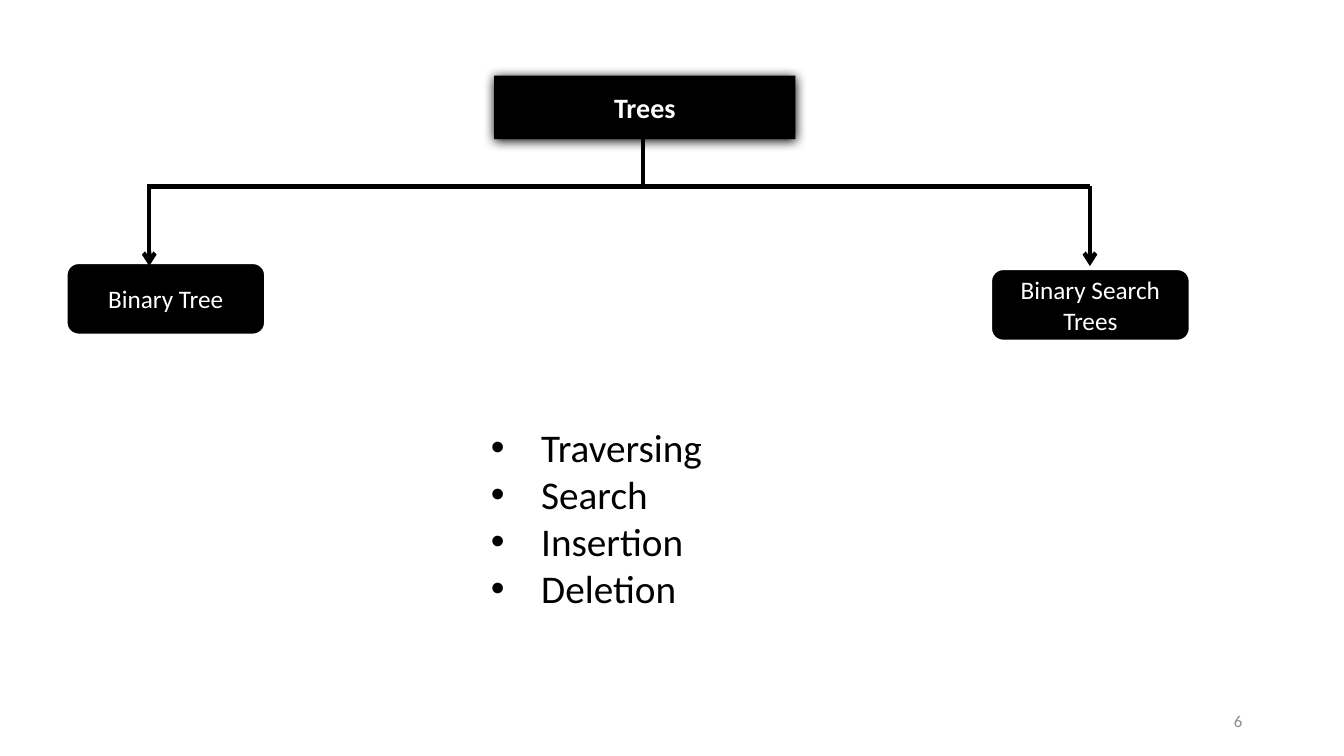
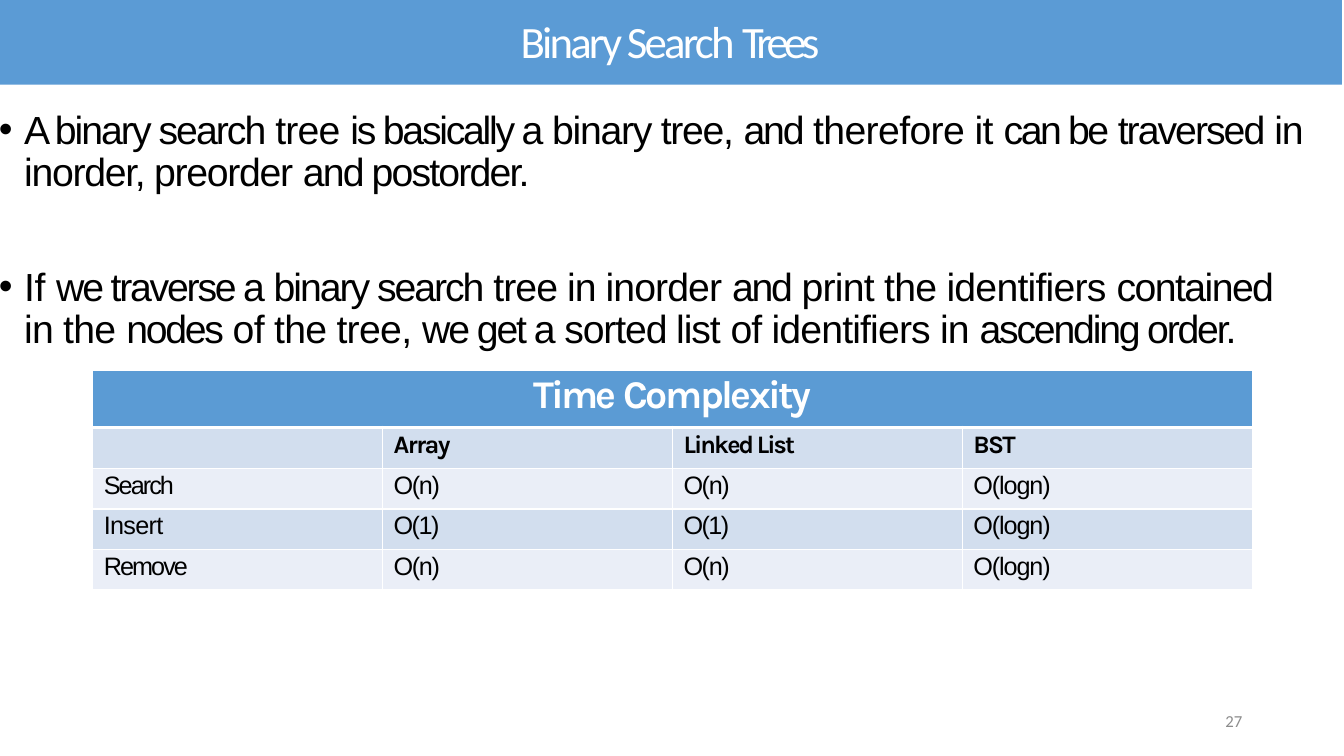
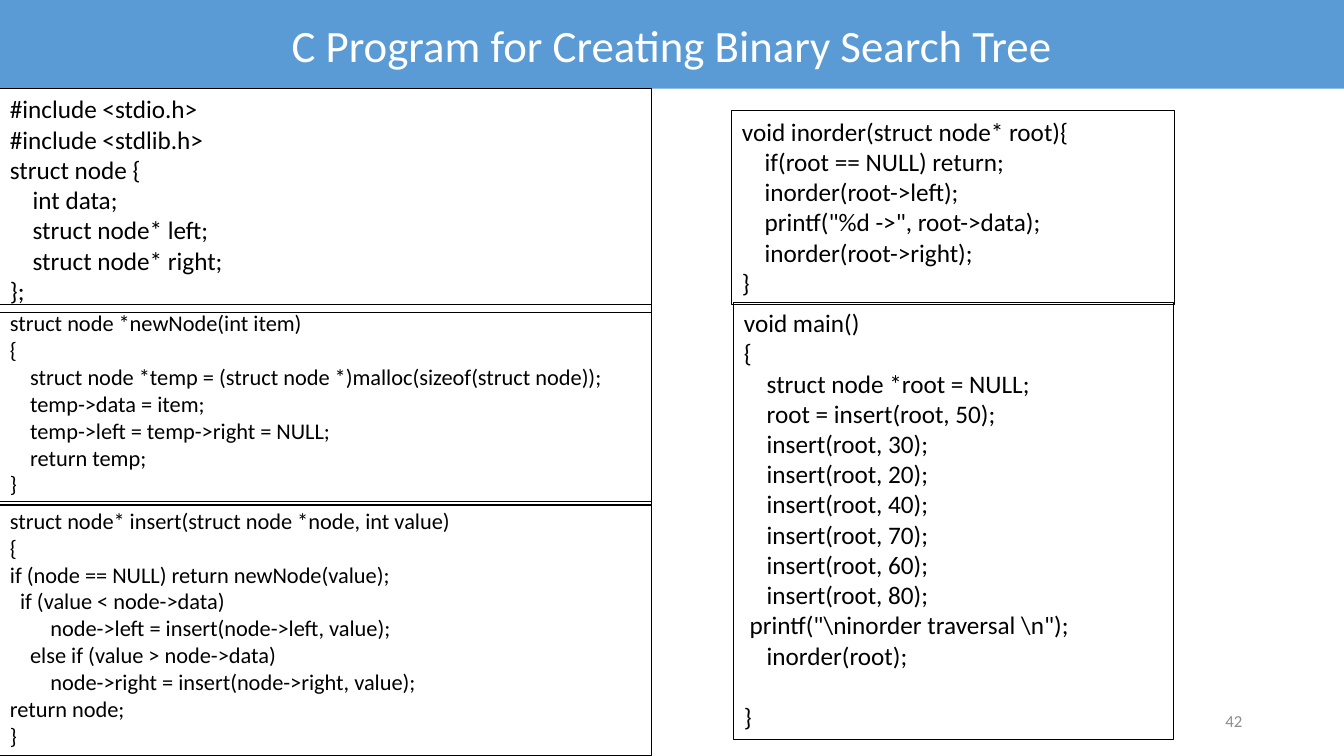
from dataclasses import dataclass

from lxml.etree import SubElement
from pptx import Presentation
from pptx.dml.color import RGBColor
from pptx.enum.shapes import MSO_CONNECTOR, MSO_SHAPE
from pptx.enum.text import MSO_ANCHOR, PP_ALIGN
from pptx.oxml.ns import qn
from pptx.util import Inches, Pt


@dataclass(frozen=True)
class Theme:
    black: str = "000000"
    white: str = "FFFFFF"
    root_text: str = "FDFDFD"
    band: str = "5B9BD5"
    table_header: str = "5B9BD4"
    row_dark: str = "D2DEEE"
    row_light: str = "EAEEF7"
    number: str = "8C8C8C"
    font: str = "Calibri"
    body_font: str = "Arial"
    table_font: str = "Karla"
    title_size: int = 32
    body_size: int = 28
    root_size: int = 20
    text_size: int = 18
    code_size: int = 16
    number_size: int = 12
    space_width: float = 0.226  # width of a space, in ems


THEME = Theme()
SLIDE_WIDTH, SLIDE_HEIGHT = 13.33, 7.5

STRUCT_CODE = """\
#include <stdio.h>
#include <stdlib.h>
struct node {
    int data;
    struct node* left;
    struct node* right;
};"""

NEW_NODE_CODE = """\
struct node *newNode(int item)
{
    struct node *temp = (struct node *)malloc(sizeof(struct node));
    temp->data = item;
    temp->left = temp->right = NULL;
    return temp;
}"""

INSERT_CODE = """\
struct node* insert(struct node *node, int value)
{
if (node == NULL) return newNode(value);
  if (value < node->data)
        node->left = insert(node->left, value);
    else if (value > node->data)
        node->right = insert(node->right, value);
return node;
}"""

INORDER_CODE = """\
void inorder(struct node* root){
    if(root == NULL) return;
    inorder(root->left);
    printf("%d ->", root->data);
    inorder(root->right);
}"""

MAIN_CODE = r"""void main()
{
    struct node *root = NULL;
    root = insert(root, 50);
    insert(root, 30);
    insert(root, 20);
    insert(root, 40);
    insert(root, 70);
    insert(root, 60);
    insert(root, 80);
 printf("\ninorder traversal \n");
    inorder(root);

}"""

# Phrases with their letter spacing in points
TRAVERSAL_POINT = [
    ("A ", -3), ("binary search ", -1.4), ("tree ", -0.6), ("is basically a ", -1.6),
    ("binary tree, ", -0.9), ("and ", -1.6), ("therefore it ", -0.45),
    ("can be ", -1.7), ("traversed ", -1.4), ("in inorder, preorder ", -0.9),
    ("and postorder.", -1.3),
]
SORTED_POINT = [
    ("If ", -0.2), ("we traverse a ", -1.55), ("binary search ", -1.45),
    ("tree in inorder ", -0.65), ("and ", -1.6), ("print the identifiers ", -0.53),
    ("contained ", -1.1), ("in the ", -0.55), ("nodes ", -1.6), ("of the tree, ", -0.52),
    ("we get a ", -1.5), ("sorted list ", -0.78), ("of identifiers in ", -0.6),
    ("ascending order.", -1.55),
]
COMPLEXITY_ROWS = [
    [("", 0), ("Array", -1.1), ("Linked List", -1.35), ("BST", -1.2)],
    [("Search", -1.4), ("O(n)", -1), ("O(n)", -1), ("O(logn)", -0.8)],
    [("Insert", -0.5), ("O(1)", -1.1), ("O(1)", -1.1), ("O(logn)", -0.8)],
    [("Remove", -1.4), ("O(n)", -1), ("O(n)", -1), ("O(logn)", -0.8)],
]


# Text helpers
def add_run(paragraph, text, size, color, font=THEME.font, bold=False, spacing=0):
    run = paragraph.add_run()
    run.text = text
    run.font.size = Pt(size)
    run.font.name = font
    run.font.bold = bold
    run.font.color.rgb = RGBColor.from_string(color)
    if spacing:
        run._r.get_or_add_rPr().set("spc", str(round(spacing * 100)))


def set_indent(paragraph, margin, first_line=0):
    properties = paragraph._p.get_or_add_pPr()
    properties.set("marL", str(Inches(margin)))
    properties.set("indent", str(Inches(first_line)))
    return properties


def set_bullet(paragraph, margin, first_line):
    properties = set_indent(paragraph, margin, first_line)
    SubElement(properties, qn("a:buFont"), typeface="Arial")
    SubElement(properties, qn("a:buChar"), char="•")


def next_paragraph(text_frame, index):
    return text_frame.paragraphs[0] if index == 0 else text_frame.add_paragraph()


# Shape helpers
def add_text_box(slide, left, top, width, height):
    box = slide.shapes.add_textbox(Inches(left), Inches(top), Inches(width), Inches(height))
    box.text_frame.word_wrap = True
    return box.text_frame


def add_box(slide, left, top, width, height, kind=MSO_SHAPE.RECTANGLE,
            fill=None, line=None, line_width=0.75):
    shape = slide.shapes.add_shape(
        kind, Inches(left), Inches(top), Inches(width), Inches(height))
    shape.shadow.inherit = False
    if fill:
        shape.fill.solid()
        shape.fill.fore_color.rgb = RGBColor.from_string(fill)
    else:
        shape.fill.background()
    if line:
        shape.line.color.rgb = RGBColor.from_string(line)
        shape.line.width = Pt(line_width)
    else:
        shape.line.fill.background()
    shape.text_frame.word_wrap = True
    return shape


def add_label(shape, phrases, size, color, bold=False):
    shape.text_frame.vertical_anchor = MSO_ANCHOR.MIDDLE
    paragraph = shape.text_frame.paragraphs[0]
    paragraph.alignment = PP_ALIGN.CENTER
    for text, spacing in phrases:
        add_run(paragraph, text, size, color, bold=bold, spacing=spacing)


def add_line(slide, x1, y1, x2, y2, arrow=False):
    line = slide.shapes.add_connector(
        MSO_CONNECTOR.STRAIGHT, Inches(x1), Inches(y1), Inches(x2), Inches(y2))
    line.line.color.rgb = RGBColor.from_string(THEME.black)
    line.line.width = Pt(3)
    if arrow:
        SubElement(line.line._get_or_add_ln(), qn("a:tailEnd"), type="arrow")
    SubElement(line._element.spPr, qn("a:effectLst"))


def add_glow_shadow(shape):
    effects = shape._element.spPr.find(qn("a:effectLst"))
    shadow = SubElement(effects, qn("a:outerShdw"), blurRad=str(Pt(8.5)),
                        dist=str(Pt(1)), dir="5400000", rotWithShape="0")
    SubElement(shadow, qn("a:srgbClr"), val=THEME.black)


# Shared regions
def add_slide(presentation, number):
    slide = presentation.slides.add_slide(presentation.slide_layouts[6])
    text_frame = add_text_box(slide, 9.42, 6.95, 3, 0.4)
    text_frame.vertical_anchor = MSO_ANCHOR.MIDDLE
    paragraph = text_frame.paragraphs[0]
    paragraph.alignment = PP_ALIGN.RIGHT
    add_run(paragraph, str(number), THEME.number_size, THEME.number)
    return slide


def add_title_band(slide, phrases, left=0, top=0):
    band = add_box(slide, left, top, SLIDE_WIDTH, 0.88, fill=THEME.band)
    add_label(band, phrases, THEME.title_size, THEME.white)


# Tree overview
def add_tree_diagram(slide, left, top):
    root = add_box(slide, left + 4.24, top, 2.99, 0.63, fill=THEME.black)
    add_glow_shadow(root)
    add_label(root, [("Trees", 0)], THEME.root_size, THEME.root_text, bold=True)

    trunk, branch_y = left + 5.72, top + 1.1
    add_line(slide, trunk, top + 0.63, trunk, branch_y)
    add_line(slide, left + 0.8, branch_y, left + 10.15, branch_y)
    branches = [("Binary Tree", 0, 1.86, 0.82), ("Binary Search Trees", 9.17, 1.92, 10.15)]
    for text, box_x, box_y, arrow_x in branches:
        node = add_box(slide, left + box_x, top + box_y, 1.97, 0.71,
                       MSO_SHAPE.ROUNDED_RECTANGLE, THEME.black, THEME.white, 1.5)
        add_label(node, [(text, 0)], THEME.text_size, THEME.white)
        add_line(slide, left + arrow_x, branch_y, left + arrow_x, branch_y + 0.79, arrow=True)


def add_operations(slide, left, top, width, height):
    text_frame = add_text_box(slide, left, top, width, height)
    for index, text in enumerate(["Traversing", "Search", "Insertion", "Deletion"]):
        paragraph = next_paragraph(text_frame, index)
        set_bullet(paragraph, 1.5, -0.5)
        add_run(paragraph, text, THEME.body_size, THEME.black)


# Search tree properties
def add_points(slide, left, top, width, height):
    text_frame = add_text_box(slide, left, top, width, height)
    text_frame.margin_left = text_frame.margin_right = text_frame.margin_bottom = 0
    text_frame.margin_top = Inches(0.07)
    for index, (phrases, space_before) in enumerate([(TRAVERSAL_POINT, 4.8), (SORTED_POINT, 52)]):
        paragraph = next_paragraph(text_frame, index)
        set_bullet(paragraph, 0.26, -0.25)
        paragraph.line_spacing = Pt(30.2)
        paragraph.space_before = Pt(space_before)
        for text, spacing in phrases:
            add_run(paragraph, text, THEME.body_size, THEME.black, THEME.body_font,
                    spacing=spacing)


def style_cell(cell, fill, top_width=1, bottom_width=1):
    cell.margin_left = cell.margin_right = cell.margin_bottom = 0
    cell.margin_top = Inches(0.03)
    properties = cell._tc.get_or_add_tcPr()
    borders = [("a:lnL", 1), ("a:lnR", 1), ("a:lnT", top_width), ("a:lnB", bottom_width)]
    for tag, width in borders:
        border = SubElement(properties, qn(tag), w=str(Pt(width)))
        SubElement(SubElement(border, qn("a:solidFill")), qn("a:srgbClr"), val=THEME.white)
    cell.fill.solid()
    cell.fill.fore_color.rgb = RGBColor.from_string(fill)


def add_complexity_table(slide, left, top, width):
    heights = [0.57, 0.41, 0.4, 0.4, 0.4]
    table = slide.shapes.add_table(
        len(heights), 4, Inches(left), Inches(top), Inches(width), Inches(sum(heights))).table
    for row, height in zip(table.rows, heights):
        row.height = Inches(height)

    # Merged heading
    for cell in table.rows[0].cells:
        style_cell(cell, THEME.table_header, bottom_width=3)
    heading = table.cell(0, 0)
    heading.merge(table.cell(0, 3))
    paragraph = heading.text_frame.paragraphs[0]
    paragraph.alignment = PP_ALIGN.CENTER
    paragraph.space_before = Pt(1.8)
    for text, spacing in [("Time ", -2.1), ("Complexity", -1.8)]:
        add_run(paragraph, text, THEME.body_size, THEME.white, THEME.table_font, True, spacing)

    # Column names and values
    for row_index, values in enumerate(COMPLEXITY_ROWS, start=1):
        is_header = row_index == 1
        fill = THEME.row_dark if row_index % 2 else THEME.row_light
        font = THEME.table_font if is_header else THEME.body_font
        for column, (text, spacing) in enumerate(values):
            cell = table.cell(row_index, column)
            style_cell(cell, fill, top_width=3 if is_header else 1)
            if text:
                paragraph = cell.text_frame.paragraphs[0]
                set_indent(paragraph, 0.11)
                paragraph.space_before = Pt(2.4)
                add_run(paragraph, text, THEME.text_size, THEME.black, font, is_header, spacing)


# Program listing
def add_code_box(slide, code, size, left, top, width, height):
    box = add_box(slide, left, top, width, height, line=THEME.black)
    text_frame = box.text_frame
    text_frame.vertical_anchor = MSO_ANCHOR.TOP
    index = gap = 0
    for line in code.splitlines():
        text = line.strip()
        if not text:
            gap += size * 1.22
            continue
        paragraph = next_paragraph(text_frame, index)
        paragraph.alignment = PP_ALIGN.LEFT
        columns = len(line) - len(line.lstrip())
        set_indent(paragraph, columns * THEME.space_width * size / 72)
        if gap:
            paragraph.space_before = Pt(gap)
        add_run(paragraph, text, size, THEME.black)
        index, gap = index + 1, 0


# Slides
def build_overview(presentation):
    slide = add_slide(presentation, 6)
    add_tree_diagram(slide, 0.66, 0.75)
    add_operations(slide, 3.77, 4.15, 6.67, 1.99)


def build_properties(presentation):
    slide = add_slide(presentation, 27)
    add_title_band(slide, [("Binary Search ", -2), ("Trees", -3.4)], -0.02, -0.04)
    add_points(slide, -0.02, 1.02, 12.97, 2.47)
    add_complexity_table(slide, 0.92, 3.67, 11.5)


def build_program(presentation):
    slide = add_slide(presentation, 42)
    add_title_band(slide, [("C Program for Creating Binary Search Tree", 0)])
    add_code_box(slide, NEW_NODE_CODE, THEME.code_size, 0, 3.02, 6.46, 1.99)
    add_code_box(slide, INSERT_CODE, THEME.code_size, 0, 4.98, 6.46, 2.52)
    add_code_box(slide, STRUCT_CODE, THEME.text_size, 0, 0.88, 6.46, 2.22)
    add_code_box(slide, MAIN_CODE, THEME.text_size, 7.28, 3, 4.36, 4.34)
    add_code_box(slide, INORDER_CODE, THEME.text_size, 7.26, 1.1, 4.39, 1.92)


def main():
    presentation = Presentation()
    presentation.slide_width = Inches(SLIDE_WIDTH)
    presentation.slide_height = Inches(SLIDE_HEIGHT)
    build_overview(presentation)
    build_properties(presentation)
    build_program(presentation)
    presentation.save("out.pptx")


if __name__ == "__main__":
    main()
